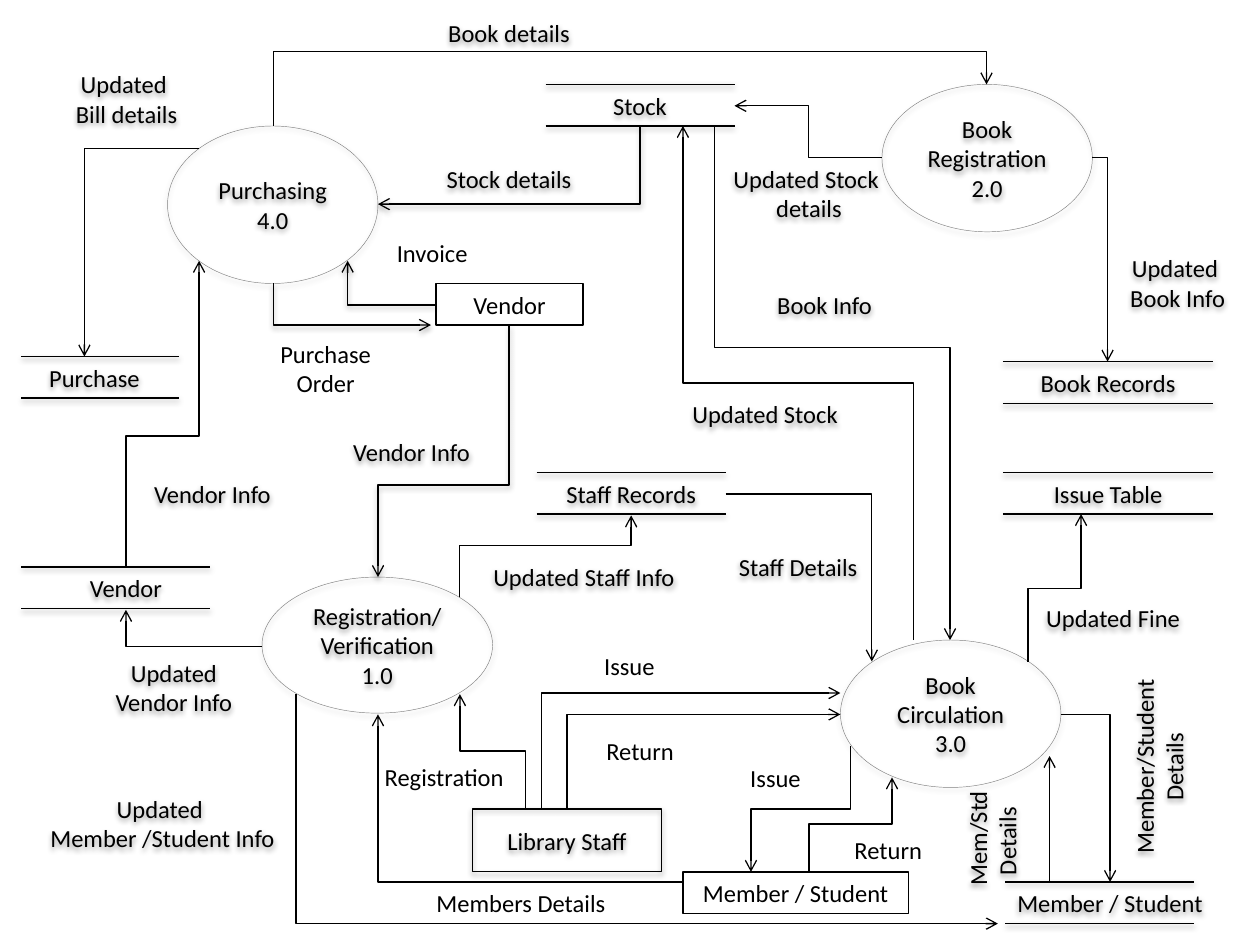
import pptx
import pptx.util
import pptx.dml.color
import pptx.enum.shapes
import pptx.enum.text
import pptx.oxml.ns
from lxml import etree

Inches = pptx.util.Inches
BLACK = pptx.dml.color.RGBColor(0x00, 0x00, 0x00)
GRAY = pptx.dml.color.RGBColor(0x80, 0x80, 0x80)
SHAPES = pptx.enum.shapes.MSO_SHAPE
LINKS = pptx.enum.shapes.MSO_CONNECTOR
ANCHORS = pptx.enum.text.MSO_ANCHOR


def add_node(parent, tag, **attributes):
    node = etree.SubElement(parent, pptx.oxml.ns.qn(tag))
    for name, value in attributes.items():
        node.set(name, str(value))
    return node


def write_text(frame, text, size=14, font="Calibri", color=BLACK, anchor=ANCHORS.TOP):
    frame.word_wrap = True
    frame.vertical_anchor = anchor
    for index, line in enumerate(text.split("\n")):
        para = frame.add_paragraph() if index else frame.paragraphs[0]
        para.alignment = pptx.enum.text.PP_ALIGN.CENTER
        span = para.add_run()
        span.text = line
        span.font.size = pptx.util.Pt(size)
        span.font.name = font
        span.font.color.rgb = color


class FlowDiagram:
    line_width = 0.75
    store_height = 0.33

    def __init__(self, page):
        self.page = page

    def set_effect(self, item, shadow):
        effects = add_node(item._element.spPr, "a:effectLst")
        if shadow:
            outer = add_node(effects, "a:outerShdw", blurRad=40000, dist=20000,
                             dir=5400000, rotWithShape=0)
            color = add_node(outer, "a:srgbClr", val=str(BLACK))
            add_node(color, "a:alpha", val=38000)

    def set_line(self, item, width, color=BLACK):
        item.line.color.rgb = color
        item.line.width = pptx.util.Pt(width)

    def node(self, text, left, top, width, height, kind=SHAPES.RECTANGLE,
             line=1, color=BLACK, shadow=False):
        box = self.page.shapes.add_shape(
            kind, Inches(left), Inches(top), Inches(width), Inches(height))
        box.fill.background()
        self.set_line(box, line, color)
        self.set_effect(box, shadow)
        write_text(box.text_frame, text, anchor=ANCHORS.MIDDLE)

    def process(self, text, left, top, width, height):
        self.node(text, left, top, width, height, kind=SHAPES.FLOWCHART_CONNECTOR,
                  line=0.25, color=GRAY, shadow=True)

    def label(self, text, left, top, width, height=0.34, rotation=0, shadow=True):
        box = self.page.shapes.add_textbox(
            Inches(left), Inches(top), Inches(width), Inches(height))
        box.rotation = rotation
        write_text(box.text_frame, text)
        self.set_effect(box, shadow)

    def line(self, start, end, kind=LINKS.STRAIGHT, arrow=False, shadow=False):
        link = self.page.shapes.add_connector(
            kind, *[Inches(value) for value in (*start, *end)])
        self.set_line(link, self.line_width)
        if arrow:
            add_node(link.line._get_or_add_ln(), "a:tailEnd", type="arrow")
        self.set_effect(link, shadow)
        return link

    def store(self, text, left, top, width, text_left=None, text_width=None):
        self.label(text, left if text_left is None else text_left, top,
                   text_width or width)
        for y in (top, top + self.store_height):
            self.line((left, y), (left + width, y), shadow=True)

    def elbow(self, first, start, end, middle=None, shadow=False):
        """Leave along axis first ("h" or "v"); turn at middle, or at the corner."""
        (x1, y1), (x2, y2) = start, end
        dx, dy = x2 - x1, y2 - y1
        turn = 0
        if first == "v":
            # Lay the link out along x, then turn it about its centre
            turn = 90 if dy > 0 else 270
            sign = 1 if dy > 0 else -1
            half_x, half_y = sign * dy / 2, -sign * dx / 2
            center_x, center_y = (x1 + x2) / 2, (y1 + y2) / 2
            start = (center_x - half_x, center_y - half_y)
            end = (center_x + half_x, center_y + half_y)
        link = self.line(start, end, LINKS.ELBOW, arrow=True, shadow=shadow)
        properties = link._element.spPr
        if turn:
            properties.find(pptx.oxml.ns.qn("a:xfrm")).set("rot", str(turn * 60000))
        geometry = properties.find(pptx.oxml.ns.qn("a:prstGeom"))
        for child in list(geometry):
            geometry.remove(child)
        guides = add_node(geometry, "a:avLst")
        if middle is None:
            geometry.set("prst", "bentConnector2")
        else:
            share = (middle - x1) / dx if first == "h" else (middle - y1) / dy
            add_node(guides, "a:gd", name="adj1", fmla=f"val {round(share * 100000)}")


deck = pptx.Presentation()
deck.slide_width, deck.slide_height = Inches(10), Inches(7.5)
diagram = FlowDiagram(deck.slides.add_slide(deck.slide_layouts[6]))

# Processes
for process in (
    ("Book Registration 2.0", 7, 0.67, 1.67, 1.17),
    ("Book Circulation 3.0", 6.67, 5.08, 1.75, 1.17),
    ("Purchasing 4.0", 1.33, 1, 1.67, 1.25),
    ("Registration/Verification 1.0", 2.08, 4.58, 1.83, 1.08),
):
    diagram.process(*process)

# External entities
diagram.node("Library Staff", 3.75, 6.42, 1.5, 0.5, line=0.75, shadow=True)
diagram.node("Vendor", 3.46, 2.25, 1.17, 0.33)
diagram.node("Member / Student", 5.42, 6.92, 1.79, 0.33)

# Data stores
for store in (
    ("Stock", 4.33, 0.67, 1.5),
    ("Staff Records", 4.26, 3.75, 1.5),
    ("Book Records", 7.96, 2.87, 1.67),
    ("Issue Table", 7.96, 3.75, 1.67),
    ("Vendor", 0.17, 4.5, 1.5, 0.25, 1.5),
    ("Purchase", 0.17, 2.83, 1.25, 0, 1.5),
    ("Member / Student", 7.98, 7, 1.5, 7.9, 1.82),
):
    diagram.store(*store)

# Flows: first direction, start, end, turning position
for flow in (
    ("v", (8.16, 5.25), (8.58, 4.08), 4.67),
    ("v", (5.67, 1), (7.54, 5.08), 2.76),
    ("h", (8.67, 1.25), (8.79, 2.87)),
    ("v", (1, 4.5), (1.58, 2.07), 3.46),
    ("h", (1.58, 1.18), (0.67, 2.83)),
    ("v", (7.25, 5.08), (5.42, 1), 3.04),
    ("h", (5.76, 3.92), (6.92, 5.25)),
    ("v", (2.17, 1), (7.83, 0.67), 0.41),
    ("v", (6.75, 5.92), (5.96, 6.92), 6.42),
    ("v", (6.42, 6.92), (7.08, 6.17), 6.54),
    ("h", (7, 1.25), (5.83, 0.84), 6.42),
    ("h", (8.42, 5.67), (8.81, 7)),
    ("v", (4.5, 6.42), (6.67, 5.67)),
    ("v", (4.3, 6.42), (6.67, 5.5)),
    ("v", (4.17, 6.42), (3.65, 5.51), 5.96),
    ("h", (5.42, 7), (3, 5.67)),
    ("v", (2.35, 5.51), (7.92, 7.33)),
    ("h", (2.08, 5.13), (1, 4.84)),
    ("v", (3.65, 4.74), (5.01, 4.09), 4.33),
):
    diagram.elbow(*flow)
for flow in (
    ("v", (5.08, 1), (3, 1.62)),
    ("v", (4.04, 2.58), (3, 4.58), 3.85),
    ("h", (3.46, 2.42), (2.76, 2.07)),
    ("v", (2.17, 2.25), (3.42, 2.58)),
):
    diagram.elbow(*flow, shadow=True)
diagram.line((8.33, 7), (8.33, 6), arrow=True)

# Flow labels
for label in (
    ("Staff Details", 5.71, 4.33, 1.25),
    ("Updated \nBill details", 0.17, 0.5, 1.67, 0.57),
    ("Updated Vendor Info", 0.67, 5.17, 1.42, 0.57),
    ("Stock details", 3.25, 1.25, 1.58),
    ("Updated\n Book Info", 8.58, 1.96, 1.49, 0.57),
    ("Book Info", 5.88, 2.25, 1.33),
    ("Updated Stock ", 5.26, 3.12, 1.67),
    ("Updated Fine", 8.17, 4.74, 1.33),
    ("Updated Stock  details", 5.71, 1.25, 1.42, 0.58),
    ("Book details", 3.08, 0.09, 1.92),
    ("Member/Student Details", 8.39, 5.8, 1.62, 0.57, 270),
    (" Mem/Std Details", 7.21, 6.39, 1.33, 0.57, 270),
    (" Vendor Info", 2.58, 3.42, 1.33),
    (" Vendor Info", 1, 3.75, 1.33),
    ("Updated \nMember /Student Info", 0.08, 6.25, 2.42, 0.57),
    ("Updated Staff Info", 3.51, 4.41, 2.25),
):
    diagram.label(*label)
for label in (
    ("Purchase Order", 1.92, 2.64, 1.33, 0.57),
    ("Invoice", 2.94, 1.84, 0.98),
    ("Issue", 5.75, 6.01, 0.81),
    ("Return", 6.56, 6.58, 0.98),
    ("Issue", 4.59, 5.12, 0.81),
    ("Return", 4.59, 5.79, 0.98),
    ("Registration", 2.83, 6, 1.39),
    ("Members Details", 3.02, 7, 2.23),
):
    diagram.label(*label, shadow=False)

deck.save("out.pptx")
